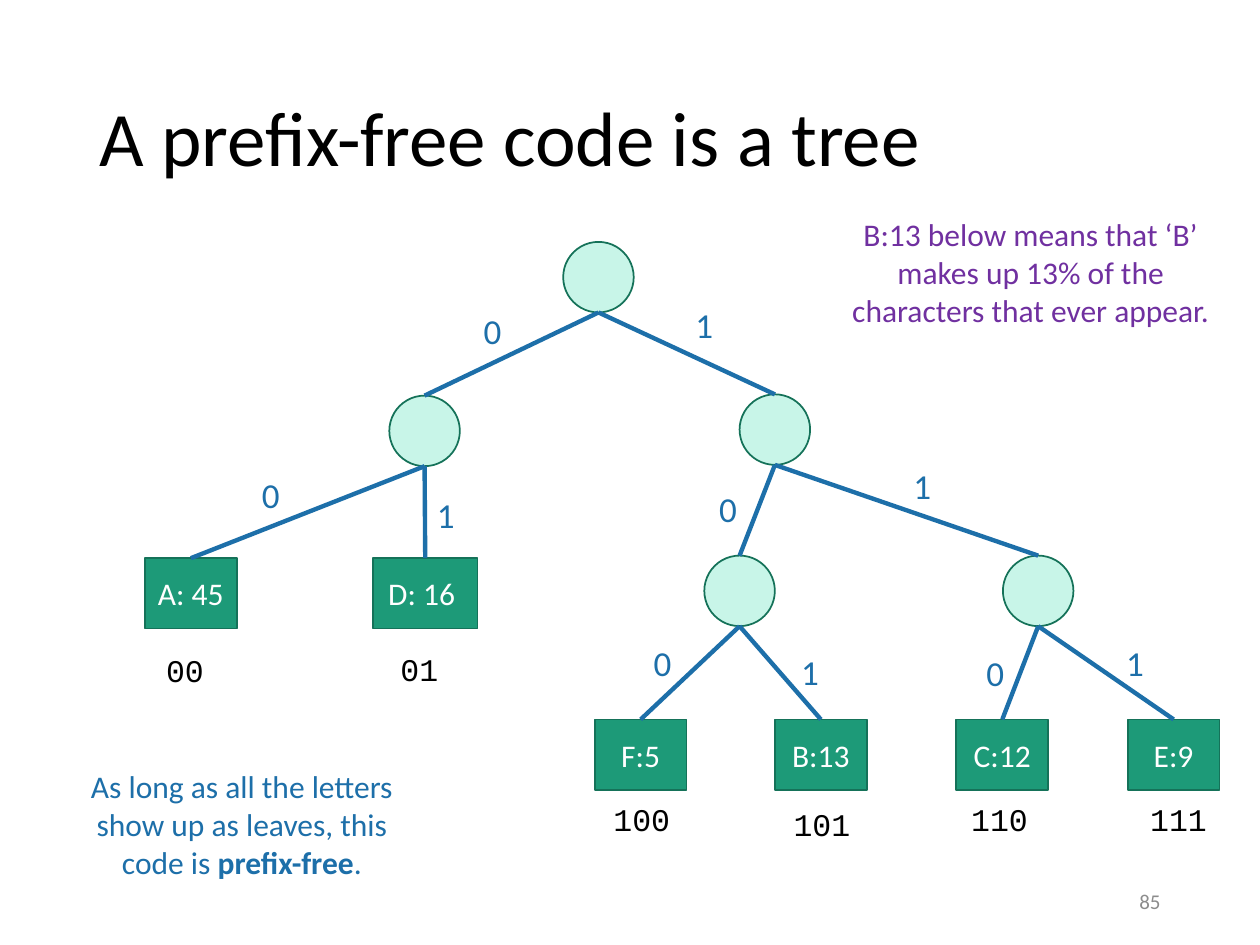
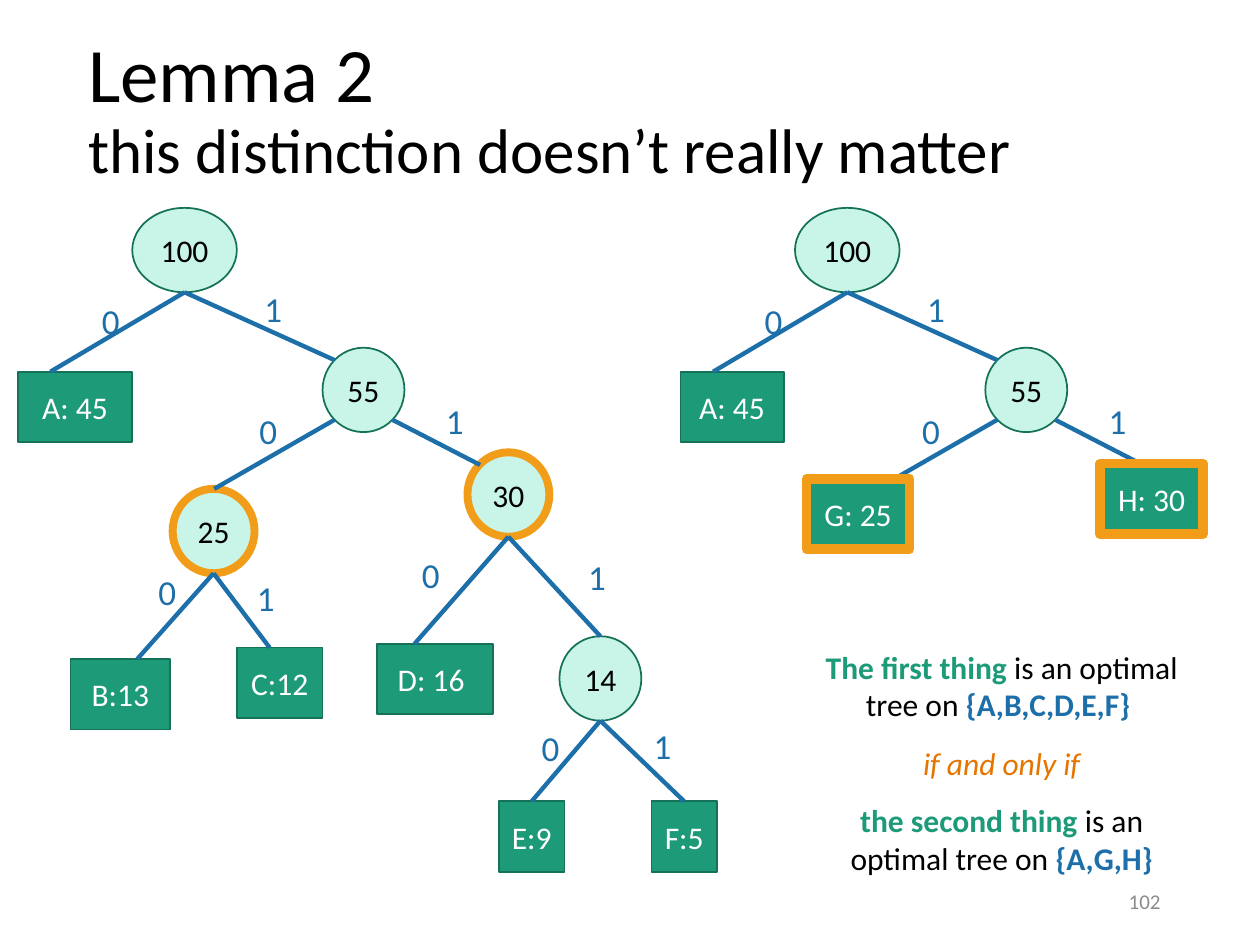
from math import cos, radians, sin

from lxml.etree import SubElement
from pptx import Presentation
from pptx.dml.color import RGBColor
from pptx.enum.shapes import MSO_CONNECTOR, MSO_SHAPE
from pptx.enum.text import MSO_ANCHOR, MSO_AUTO_SIZE, PP_ALIGN
from pptx.oxml.ns import qn
from pptx.util import Inches, Pt

# Shared colours and fonts
BLACK = RGBColor(0x00, 0x00, 0x00)
WHITE = RGBColor(0xFF, 0xFF, 0xFF)
MINT = RGBColor(0xC8, 0xF5, 0xE8)
GREEN = RGBColor(0x1D, 0x9A, 0x78)
DARK_GREEN = RGBColor(0x15, 0x72, 0x59)
BLUE = RGBColor(0x1D, 0x6F, 0xA9)
GOLD = RGBColor(0xF1, 0x9D, 0x19)
ORANGE = RGBColor(0xE6, 0x75, 0x00)
PURPLE = RGBColor(0x70, 0x30, 0xA0)
GREY = RGBColor(0x8C, 0x8C, 0x8C)
SANS, MONO = "Calibri", "Courier New"

# Directions on the rim of a node, clockwise from the right, in degrees
LOWER_RIGHT, BOTTOM, LOWER_LEFT, UPPER_LEFT = 45, 90, 135, 225

LEAF_HEIGHT = 0.56
RIGHT_TREE_SHIFT = 5.26


def add_run(paragraph, text, size, color, font=SANS, bold=False, italic=False):
    run = paragraph.add_run()
    run.text = text
    run.font.name, run.font.size = font, Pt(size)
    run.font.bold, run.font.italic = bold, italic
    run.font.color.rgb = color


def add_label(shapes, text, left, top, width, height=0.4, size=18, color=BLACK,
              font=SANS, align=PP_ALIGN.LEFT):
    """Text box with one run; returns its frame so that more can follow."""
    label = shapes.add_textbox(Inches(left), Inches(top), Inches(width), Inches(height))
    frame = label.text_frame
    frame.word_wrap = True
    frame.auto_size = MSO_AUTO_SIZE.SHAPE_TO_FIT_TEXT
    frame.paragraphs[0].alignment = align
    if text:
        add_run(frame.paragraphs[0], text, size, color, font)
    return frame


def add_tree_part(shapes, preset, box, text, fill, text_color, outline, weight):
    part = shapes.add_shape(preset, *map(Inches, box))
    part.shadow.inherit = False
    part.fill.solid()
    part.fill.fore_color.rgb = fill
    part.line.color.rgb = outline
    part.line.width = Pt(weight)
    if text:
        frame = part.text_frame
        frame.margin_left = frame.margin_right = 0
        frame.vertical_anchor = MSO_ANCHOR.MIDDLE
        frame.paragraphs[0].alignment = PP_ALIGN.CENTER
        add_run(frame.paragraphs[0], text, 18, text_color)
    return part


def add_node(shapes, left, top, text="", width=0.65, height=0.67,
             outline=DARK_GREEN, weight=1):
    return add_tree_part(shapes, MSO_SHAPE.OVAL, (left, top, width, height),
                         text, MINT, BLACK, outline, weight)


def add_leaf(shapes, text, left, top, width, outline=DARK_GREEN, weight=1):
    return add_tree_part(shapes, MSO_SHAPE.RECTANGLE, (left, top, width, LEAF_HEIGHT),
                         text, GREEN, WHITE, outline, weight)


def rim_point(node, angle):
    x = node.left + node.width / 2 * (1 + cos(radians(angle)))
    y = node.top + node.height / 2 * (1 + sin(radians(angle)))
    return int(x), int(y)


def add_branch(shapes, start, bit, bit_at, child=None, end=None, bit_width=0.47):
    """Edge from start to the top of child, or to the point end, with its bit."""
    if child is not None:
        end = child.left + child.width // 2, child.top
    branch = shapes.add_connector(MSO_CONNECTOR.STRAIGHT, *start, *end)
    if child is not None:
        branch.end_connect(child, 0)
    branch.line.color.rgb = BLUE
    branch.line.width = Pt(2.5)
    SubElement(branch._element.spPr, qn("a:effectLst"))
    add_label(shapes, bit, *bit_at, bit_width, 0.44, size=20, color=BLUE)


def add_slide(deck, left, top, title_lines, number):
    slide = deck.slides.add_slide(deck.slide_layouts[5])
    title = slide.shapes.title
    title.left, title.top = Inches(left), Inches(top)
    title.width, title.height = Inches(8.62), Inches(1.45)
    frame = title.text_frame
    frame.auto_size = MSO_AUTO_SIZE.NONE
    frame.vertical_anchor = MSO_ANCHOR.MIDDLE
    heading = frame.paragraphs[0]
    heading.alignment, heading.line_spacing = PP_ALIGN.LEFT, 0.9
    for index, (text, size) in enumerate(title_lines):
        if index:
            heading.add_line_break()
        add_run(heading, text, size, BLACK)
    # Slide number
    footer = add_label(slide.shapes, number, 7.06, 6.95, 2.25, size=12,
                       color=GREY, align=PP_ALIGN.RIGHT)
    footer.auto_size = MSO_AUTO_SIZE.NONE
    footer.vertical_anchor = MSO_ANCHOR.MIDDLE
    return slide


def build_prefix_free_slide(deck):
    slide = add_slide(deck, 0.69, 0.4, [("A prefix-free code is a tree", 44)], "85")
    shapes = slide.shapes

    # Inner nodes, named by the bits that lead to them
    inner = {"": (4.47, 1.92), "0": (3.09, 3.14), "1": (5.87, 3.13),
             "10": (5.59, 4.41), "11": (7.96, 4.41)}
    tree = {code: add_node(shapes, *at, width=0.56, height=0.56)
            for code, at in inner.items()}

    # Leaves with their code words below
    leaves = {"00": ("A: 45", 1.15, 4.43, 0.73, 1.22, 5.12),
              "01": ("D: 16 ", 2.96, 4.43, 0.83, 3.08, 5.11),
              "100": ("F:5", 4.72, 5.71, 0.73, 4.77, 6.3),
              "101": ("B:13", 6.15, 5.71, 0.73, 6.2, 6.34),
              "110": ("C:12", 7.59, 5.71, 0.73, 7.61, 6.3),
              "111": ("E:9", 8.95, 5.71, 0.73, 9.03, 6.3)}
    for code, (letter, left, top, width, code_left, code_top) in leaves.items():
        tree[code] = add_leaf(shapes, letter, left, top, width)
        add_label(shapes, code, code_left, code_top, 1.13, font=MONO)

    # Each branch joins a code to the same code without its last bit
    bit_places = {"0": (3.74, 2.41), "1": (5.42, 2.36),
                  "00": (1.98, 3.71), "01": (3.37, 3.87),
                  "10": (5.61, 3.82), "11": (7.15, 3.64),
                  "100": (5.09, 5.04), "101": (6.26, 5.11),
                  "110": (7.73, 5.12), "111": (8.84, 5.04)}
    for code, bit_at in bit_places.items():
        add_branch(shapes, rim_point(tree[code[:-1]], BOTTOM), code[-1], bit_at,
                   child=tree[code], bit_width=0.66)

    # Remarks
    remark = add_label(shapes, "As long as all the letters show up as leaves, this code is",
                       0.47, 6.04, 2.9, 1.01, color=BLUE, align=PP_ALIGN.CENTER)
    add_run(remark.paragraphs[0], " prefix-free", 18, BLUE, bold=True)
    add_run(remark.paragraphs[0], ".", 18, BLUE)
    add_label(shapes, "B:13 below means that ‘B’ makes up 13% of the characters "
              "that ever appear.", 6.54, 1.66, 3.28, 1.01, color=PURPLE,
              align=PP_ALIGN.CENTER)


def add_tree_top(shapes, shift, a_width):
    """Root, leaf A and node 55, which both trees share; returns node 55."""
    root = add_node(shapes, 1.05 + shift, 1.65, "100", width=0.83)
    node_55 = add_node(shapes, 2.56 + shift, 2.76, "55")
    add_leaf(shapes, "A: 45", 0.14 + shift, 2.95, a_width)
    root_bottom = rim_point(root, BOTTOM)
    add_branch(shapes, root_bottom, "0", (0.71 + shift, 2.33),
               end=(Inches(0.4 + shift), Inches(2.95)))
    add_branch(shapes, root_bottom, "1", (2 + shift, 2.23),
               end=rim_point(node_55, UPPER_LEFT))
    add_branch(shapes, rim_point(node_55, LOWER_LEFT), "0", (1.96 + shift, 3.2),
               end=(Inches(1.7 + shift), Inches(3.88)))
    add_branch(shapes, rim_point(node_55, LOWER_RIGHT), "1", (3.44 + shift, 3.12),
               end=(Inches(3.81 + shift), Inches(3.69)))


def add_full_tree(shapes):
    node_25 = add_node(shapes, 1.37, 3.88, "25", outline=GOLD, weight=4.5)
    node_30 = add_node(shapes, 3.71, 3.59, "30", outline=GOLD, weight=4.5)
    node_14 = add_node(shapes, 4.44, 5.05, "14")
    add_tree_top(shapes, 0, 0.91)

    # Leaves
    add_leaf(shapes, "B:13", 0.56, 5.23, 0.79)
    add_leaf(shapes, "C:12", 1.88, 5.14, 0.68)
    add_leaf(shapes, "D: 16 ", 2.99, 5.11, 0.92)
    leaf_e = add_leaf(shapes, "E:9", 3.96, 6.36, 0.52)
    leaf_f = add_leaf(shapes, "F:5", 5.17, 6.36, 0.52)

    # Branches that meet a leaf away from its middle
    for parent, bit, bit_at, end in [
            (node_25, "0", (1.16, 4.48), (1.09, 5.23)),
            (node_25, "1", (1.94, 4.53), (2.14, 5.14)),
            (node_30, "0", (3.25, 4.34), (3.29, 5.11))]:
        add_branch(shapes, rim_point(parent, BOTTOM), bit, bit_at,
                   end=tuple(map(Inches, end)))

    # Branches that meet the middle of a child
    for parent, bit, bit_at, child in [
            (node_30, "1", (4.57, 4.36), node_14),
            (node_14, "0", (4.2, 5.72), leaf_e),
            (node_14, "1", (5.09, 5.7), leaf_f)]:
        add_branch(shapes, rim_point(parent, BOTTOM), bit, bit_at, child=child)


def add_merged_tree(shapes):
    add_tree_top(shapes, RIGHT_TREE_SHIFT, 0.82)
    add_leaf(shapes, "G: 25", 6.4, 3.8, 0.82, outline=GOLD, weight=5.5)
    add_leaf(shapes, "H: 30", 8.73, 3.68, 0.82, outline=GOLD, weight=5.5)


def build_lemma_slide(deck):
    slide = add_slide(deck, 0.6, 0.16, [
        ("Lemma 2", 44), ("this distinction doesn’t really matter", 36)], "102")
    add_full_tree(slide.shapes.add_group_shape().shapes)
    add_merged_tree(slide.shapes.add_group_shape().shapes)

    # Statement of the equivalence
    statement = add_label(slide.shapes, "", 6.36, 5.09, 3.18, 1.94, align=PP_ALIGN.CENTER)
    first = statement.paragraphs[0]
    add_run(first, "The first thing ", 18, GREEN, bold=True)
    add_run(first, "is an optimal tree on ", 18, BLACK)
    add_run(first, "{A,B,C,D,E,F} ", 18, BLUE, bold=True)
    iff, second = statement.add_paragraph(), statement.add_paragraph()
    iff.alignment = second.alignment = PP_ALIGN.CENTER
    iff.space_before, second.space_before = Pt(12), Pt(11)
    add_run(iff, "if and only if", 18, ORANGE, italic=True)
    add_run(second, "the second thing ", 18, GREEN, bold=True)
    add_run(second, "is an optimal tree on ", 18, BLACK)
    add_run(second, "{A,G,H}", 18, BLUE, bold=True)


def main():
    deck = Presentation()
    deck.slide_width, deck.slide_height = Inches(10), Inches(7.5)
    build_prefix_free_slide(deck)
    build_lemma_slide(deck)
    deck.save("out.pptx")


if __name__ == "__main__":
    main()
